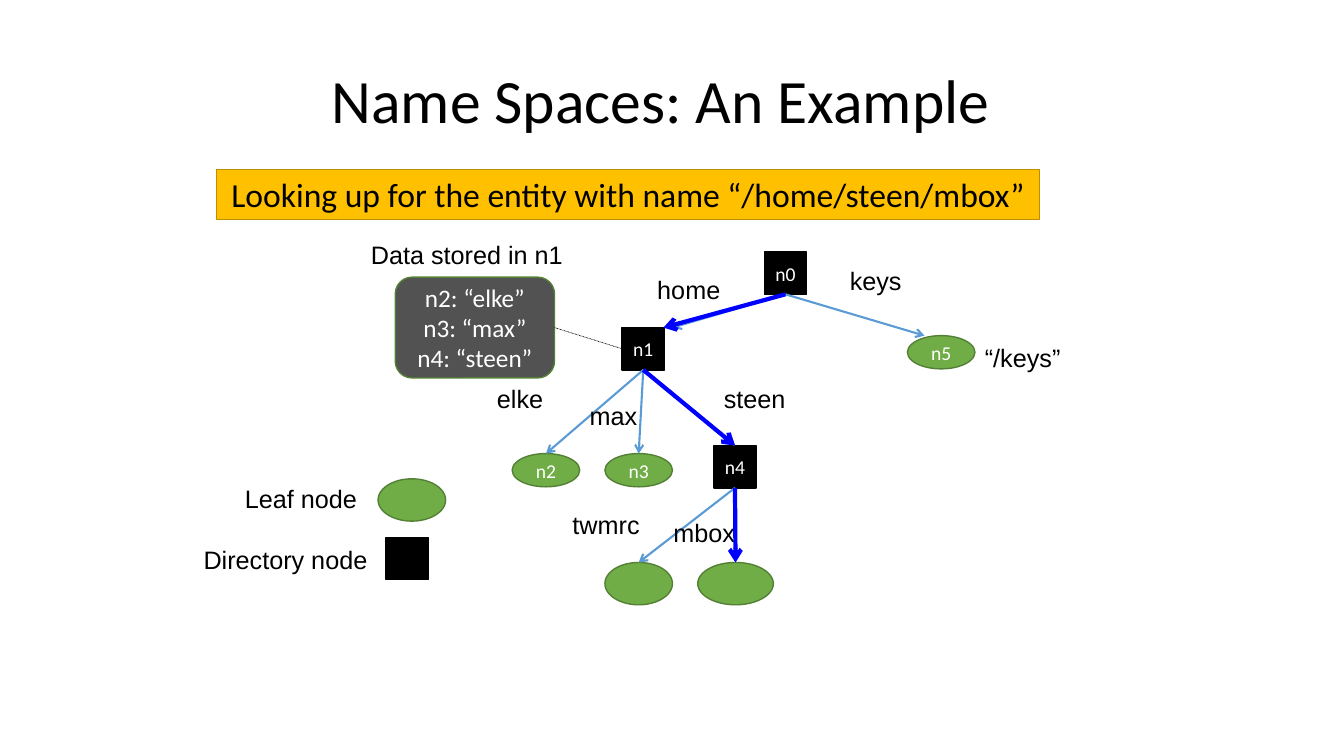
from lxml import etree
from pptx import Presentation
from pptx.dml.color import RGBColor
from pptx.enum.dml import MSO_LINE
from pptx.enum.shapes import MSO_CONNECTOR, MSO_SHAPE
from pptx.enum.text import MSO_ANCHOR, MSO_AUTO_SIZE, PP_ALIGN
from pptx.oxml.ns import qn
from pptx.util import Inches, Pt

STRAIGHT = MSO_CONNECTOR.STRAIGHT
RECTANGLE, ROUNDED, OVAL = (
    MSO_SHAPE.RECTANGLE, MSO_SHAPE.ROUNDED_RECTANGLE, MSO_SHAPE.OVAL)
CENTER = PP_ALIGN.CENTER
MIDDLE = MSO_ANCHOR.MIDDLE
GROW = MSO_AUTO_SIZE.SHAPE_TO_FIT_TEXT
DOTTED = MSO_LINE.ROUND_DOT
TOP, LEFT, BOTTOM, RIGHT = range(4)

COLORS = {
    "black": "000000", "white": "FFFFFF",
    "banner": "FFC000", "banner_edge": "BD8E00",
    "leaf": "70AD47", "leaf_edge": "538035",
    "record": "525252", "branch": "5B9BD5", "route": "0000FF",
}
SIDE = 0.42
LEAF_WIDTH = 0.67

DIRECTORIES = {"n0": (7.58, 2.5), "n1": (6.17, 3.25), "n4": (7.08, 4.42)}
LEAVES = {
    "n5": (9, 3.33, LEAF_WIDTH, 0.33),
    "n2": (5.08, 4.5, LEAF_WIDTH, 0.33),
    "n3": (6, 4.5, LEAF_WIDTH, 0.33),
    "mbox": (6.92, 5.58, 0.75, SIDE),
    "twmrc": (6, 5.58, LEAF_WIDTH, SIDE),
}
BRANCHES = [
    ("n0", (9.17, 3.33)), ("n0", (6.67, 3.25)),
    ("n1", "n3"), ("n1", "n4"), ("n1", "n2"),
    ("n4", "mbox"), ("n4", "twmrc"),
]
ROUTE = [("n4", "mbox"), ("n0", (6.58, 3.25)), ("n1", "n4")]
LABELS = [
    ("Leaf node", 2.33, 4.75, 1.5),
    ("Directory node", 1.92, 5.35, 1.92),
    ("home", 6.42, 2.67, 0.92),
    ("keys", 8.33, 2.58, 0.92),
    ("steen", 7.08, 3.75, 0.92),
    ("max", 5.75, 3.92, 0.75),
    ("elke", 4.83, 3.75, 0.75),
    ("Data stored in n1", 3.58, 2.33, 2.25),
    ("“/keys”", 9.67, 3.35, 1.17),
    ("twmrc", 5.58, 5, 1),
    ("mbox", 6.58, 5.08, 1),
]


def rgb(name):
    return RGBColor.from_string(COLORS[name])


def set_values(target, values):
    for name, value in values.items():
        setattr(target, name, value)


def write(frame, lines, size, color="black", font="Calibri", **para_format):
    for index, line in enumerate(lines):
        para = frame.add_paragraph() if index else frame.paragraphs[0]
        set_values(para, para_format)
        span = para.add_run()
        span.text = line
        set_values(span.font, {"name": font, "size": Pt(size)})
        span.font.color.rgb = rgb(color)


def add_title(page, text):
    title = page.shapes.title
    set_values(title, {"left": Inches(1.92), "top": Inches(0.3),
                       "width": Inches(9.41), "height": Inches(1.45)})
    title.text_frame.vertical_anchor = MIDDLE
    write(title.text_frame, [text], 44, alignment=CENTER, line_spacing=0.9)


def add_box(page, kind, place, fill, edge, lines=(), size=14, color="white"):
    box = page.shapes.add_shape(kind, *map(Inches, place))
    box.shadow.inherit = False
    box.fill.solid()
    box.fill.fore_color.rgb = rgb(fill)
    box.line.color.rgb = rgb(edge)
    box.line.width = Pt(1)
    set_values(box.text_frame, {
        "word_wrap": True, "vertical_anchor": MIDDLE,
        "margin_left": 0, "margin_right": 0})
    write(box.text_frame, lines, size, color, alignment=CENTER)
    return box


def add_directory(page, left, top, lines=()):
    place = (left, top, SIDE, SIDE)
    return add_box(page, RECTANGLE, place, "black", "black", lines)


def add_leaf(page, place, lines=()):
    return add_box(page, OVAL, place, "leaf", "leaf_edge", lines)


def add_label(page, text, left, top, width):
    box = page.shapes.add_textbox(*map(Inches, (left, top, width, 0.4)))
    set_values(box.text_frame, {"word_wrap": True, "auto_size": GROW})
    write(box.text_frame, [text], 18, font="Arial")


def add_line(page, start, start_side, end, end_side, color, width):
    tip = (0, 0)
    if isinstance(end, tuple):
        tip = end
    line = page.shapes.add_connector(STRAIGHT, 0, 0, *map(Inches, tip))
    line.begin_connect(start, start_side)
    if not isinstance(end, tuple):
        line.end_connect(end, end_side)
    line.line.color.rgb = rgb(color)
    line.line.width = Pt(width)
    etree.SubElement(line._element.spPr, qn("a:effectLst"))
    return line


def add_arrows(page, nodes, links, color, width):
    for parent, child in links:
        arrow = add_line(page, nodes[parent], BOTTOM,
                         nodes.get(child, child), TOP, color, width)
        outline = arrow.line._get_or_add_ln()
        etree.SubElement(outline, qn("a:tailEnd"), type="arrow")


def add_nodes(page):
    nodes = {}
    for name, place in DIRECTORIES.items():
        nodes[name] = add_directory(page, *place, [name])
    for name, place in LEAVES.items():
        nodes[name] = add_leaf(page, place, [name] if name[1:].isdigit() else [])
    return nodes


def main():
    deck = Presentation()
    deck.slide_width, deck.slide_height = Inches(13.33), Inches(7.5)
    page = deck.slides.add_slide(deck.slide_layouts[5])
    add_title(page, "Name Spaces: An Example ")
    add_box(page, RECTANGLE, (2.15, 1.68, 8.16, 0.5), "banner", "banner_edge",
            ["Looking up for the entity with name “/home/steen/mbox”"],
            24, "black")
    nodes = add_nodes(page)
    add_arrows(page, nodes, BRANCHES, "branch", 1.5)
    add_leaf(page, (3.75, 4.75, LEAF_WIDTH, SIDE))
    add_directory(page, 3.83, 5.33)
    record = add_box(page, ROUNDED, (3.92, 2.75, 1.58, 1), "record", "leaf_edge",
                     ["n2: “elke”", "n3: “max”", "n4: “steen”"], 18)
    pointer = add_line(page, nodes["n1"], LEFT, record, RIGHT, "black", 0.5)
    pointer.line.dash_style = DOTTED
    for label in LABELS:
        add_label(page, *label)
    add_arrows(page, nodes, ROUTE, "route", 3)
    deck.save("out.pptx")


if __name__ == "__main__":
    main()
